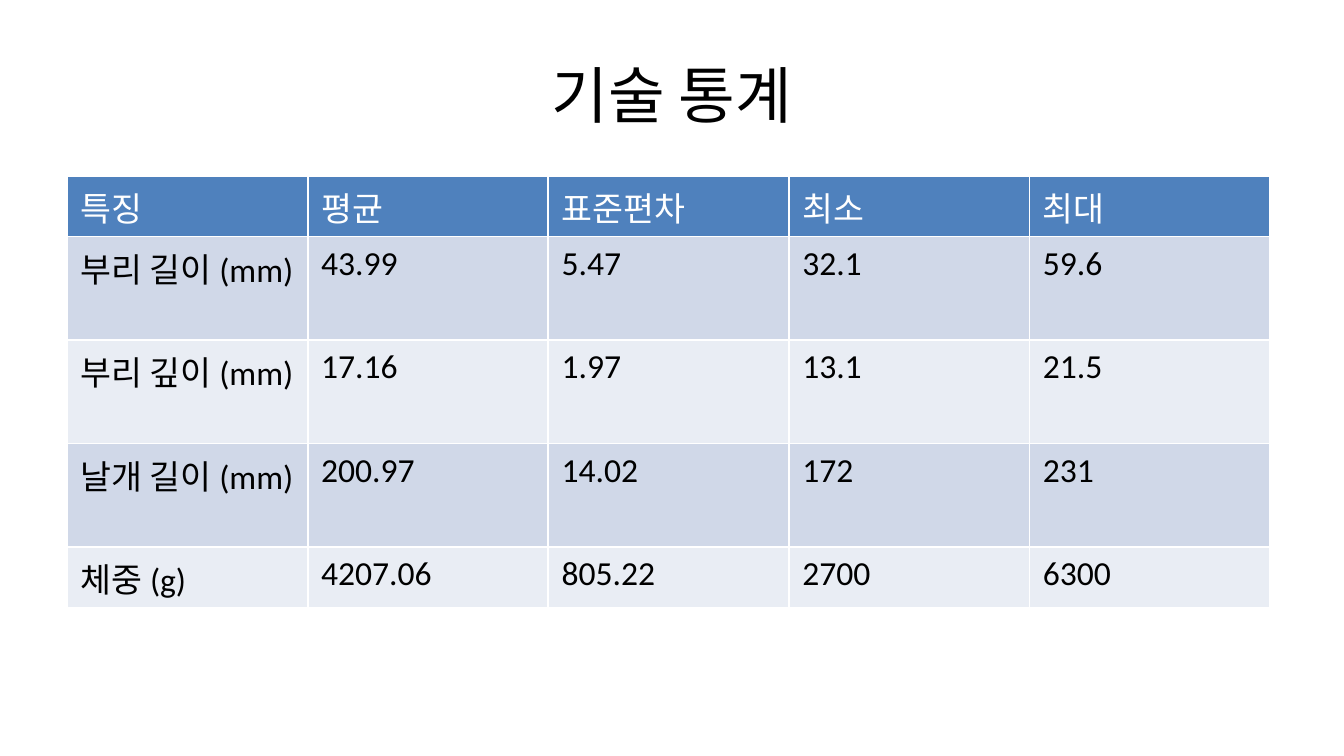
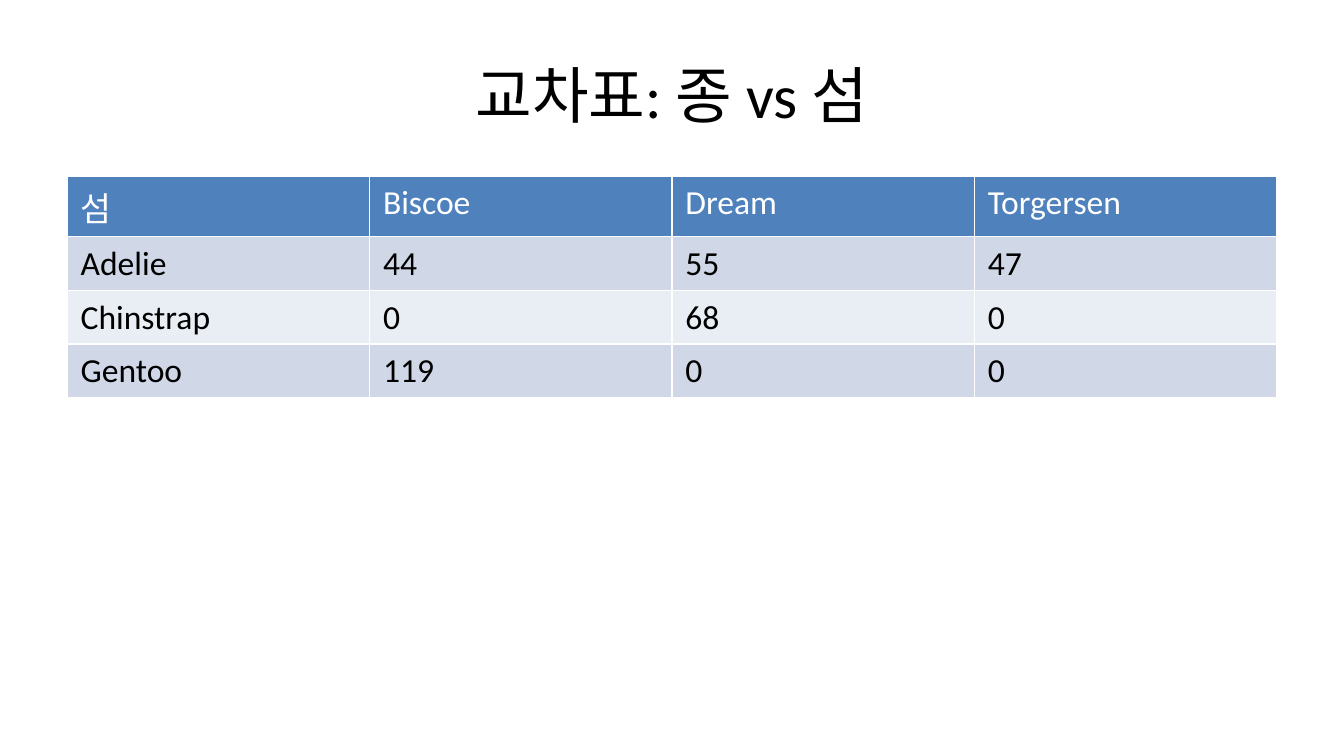
"""Builds two slides of penguin statistics, each a title over a table."""
from pptx import Presentation
from pptx.dml.color import RGBColor
from pptx.enum.text import MSO_ANCHOR as Anchor, PP_ALIGN as Align
from pptx.util import Inches, Pt

HEADER_FILL = "4F81BD"
BAND_FILLS = ["D0D8E8", "E9EDF4"]
TITLE_FONT = {"name": "Calibri", "size": Pt(33), "bold": False}
CELL_FONT = {"name": "Calibri", "size": Pt(18), "bold": False}
TITLE_FRAME = {"word_wrap": True, "vertical_anchor": Anchor.MIDDLE}

SLIDES = [
    ("기술 통계", 1.79, [0.45, 0.77, 0.77, 0.77, 0.45], [
        ["특징", "평균", "표준편차", "최소", "최대"],
        ["부리 길이 (mm)", "43.99", "5.47", "32.1", "59.6"],
        ["부리 깊이 (mm)", "17.16", "1.97", "13.1", "21.5"],
        ["날개 길이 (mm)", "200.97", "14.02", "172", "231"],
        ["체중 (g)", "4207.06", "805.22", "2700", "6300"],
    ]),
    ("교차표: 종 vs 섬", 2.25, [0.45, 0.4, 0.4, 0.4], [
        ["섬", "Biscoe", "Dream", "Torgersen"],
        ["Adelie", "44", "55", "47"],
        ["Chinstrap", "0", "68", "0"],
        ["Gentoo", "119", "0", "0"],
    ]),
]


def paint(color_format, color):
    color_format.rgb = RGBColor.from_string(color)


def write(text_frame, text, font_format, color):
    paragraph = text_frame.paragraphs[0]
    run = paragraph.add_run()
    run.text = text
    for name, value in font_format.items():
        setattr(run.font, name, value)
    paint(run.font.color, color)
    return paragraph


presentation = Presentation()
presentation.slide_width = Inches(10)
presentation.slide_height = Inches(10) * 9 // 16
blank_layout = presentation.slide_layouts[6]

for title, column_width, row_heights, rows in SLIDES:
    slide = presentation.slides.add_slide(blank_layout)
    title_box = slide.shapes.add_textbox(Inches(0.5), Inches(0.23), Inches(9), Inches(0.94))
    for name, value in TITLE_FRAME.items():
        setattr(title_box.text_frame, name, value)
    write(title_box.text_frame, title, TITLE_FONT, "000000").alignment = Align.CENTER

    table_frame = slide.shapes.add_table(
        len(rows), len(rows[0]), Inches(0.5), Inches(1.31), Inches(9), Inches(3.71))
    table = table_frame.table
    for column in table.columns:
        column.width = Inches(column_width)
    for row_index, (row_height, values) in enumerate(zip(row_heights, rows)):
        table.rows[row_index].height = Inches(row_height)
        is_header = row_index == 0
        fill_color = HEADER_FILL if is_header else BAND_FILLS[(row_index - 1) % 2]
        for column_index, value in enumerate(values):
            cell = table.cell(row_index, column_index)
            cell.fill.solid()
            paint(cell.fill.fore_color, fill_color)
            write(cell.text_frame, value, CELL_FONT, "FFFFFF" if is_header else "000000")
    table_frame.width = Inches(9)
    table_frame.height = Inches(3.71)

presentation.save("out.pptx")
